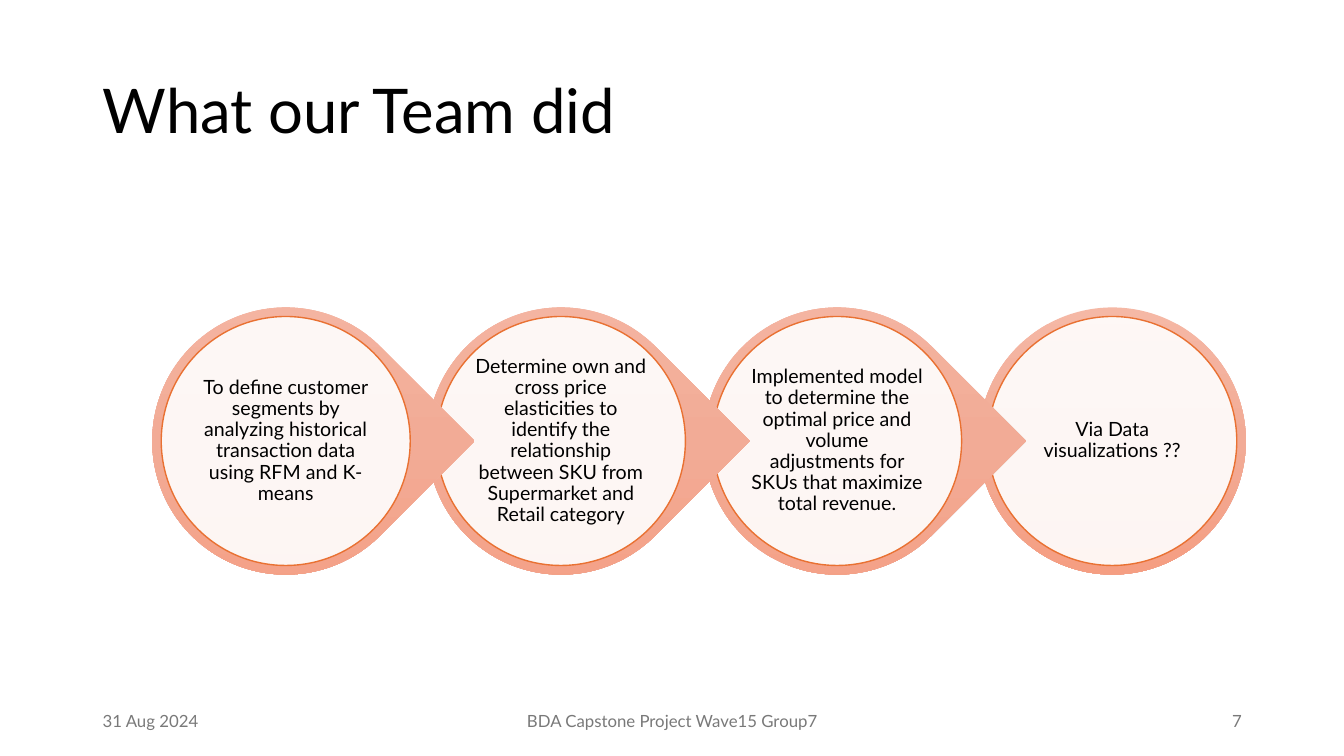
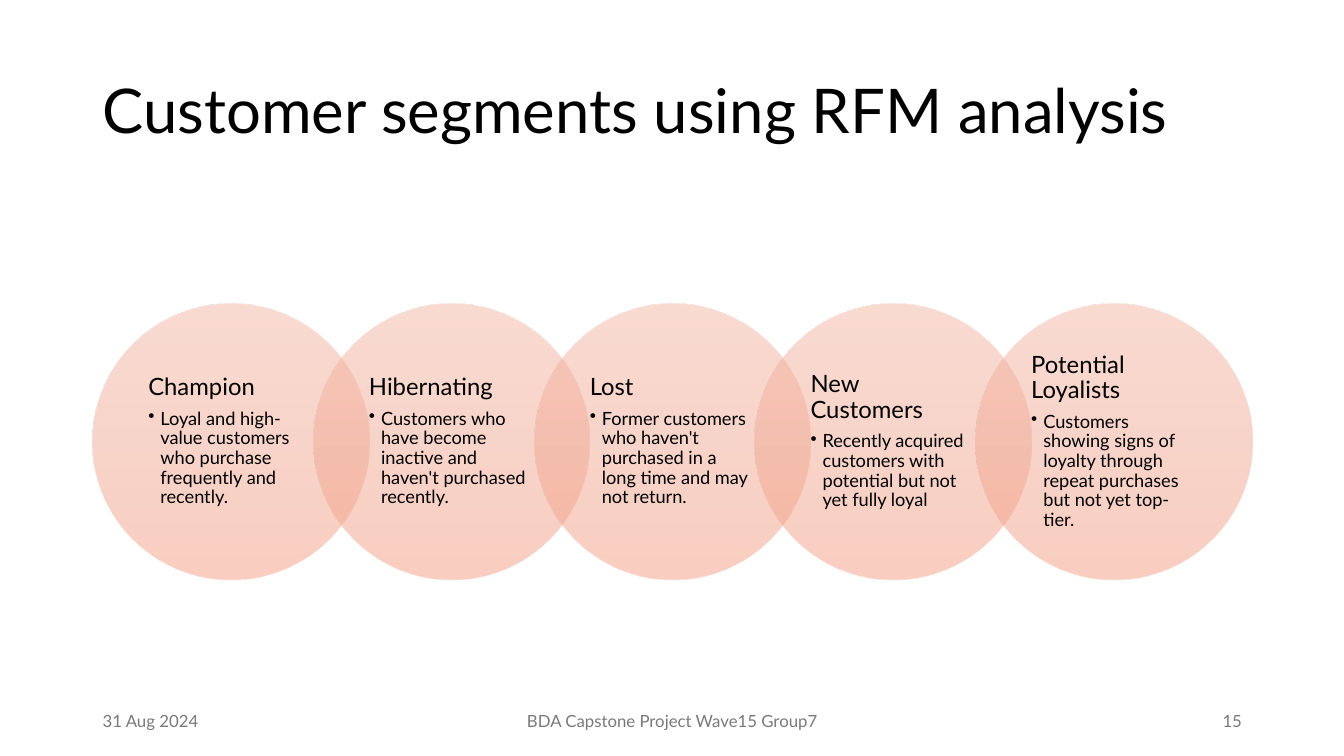
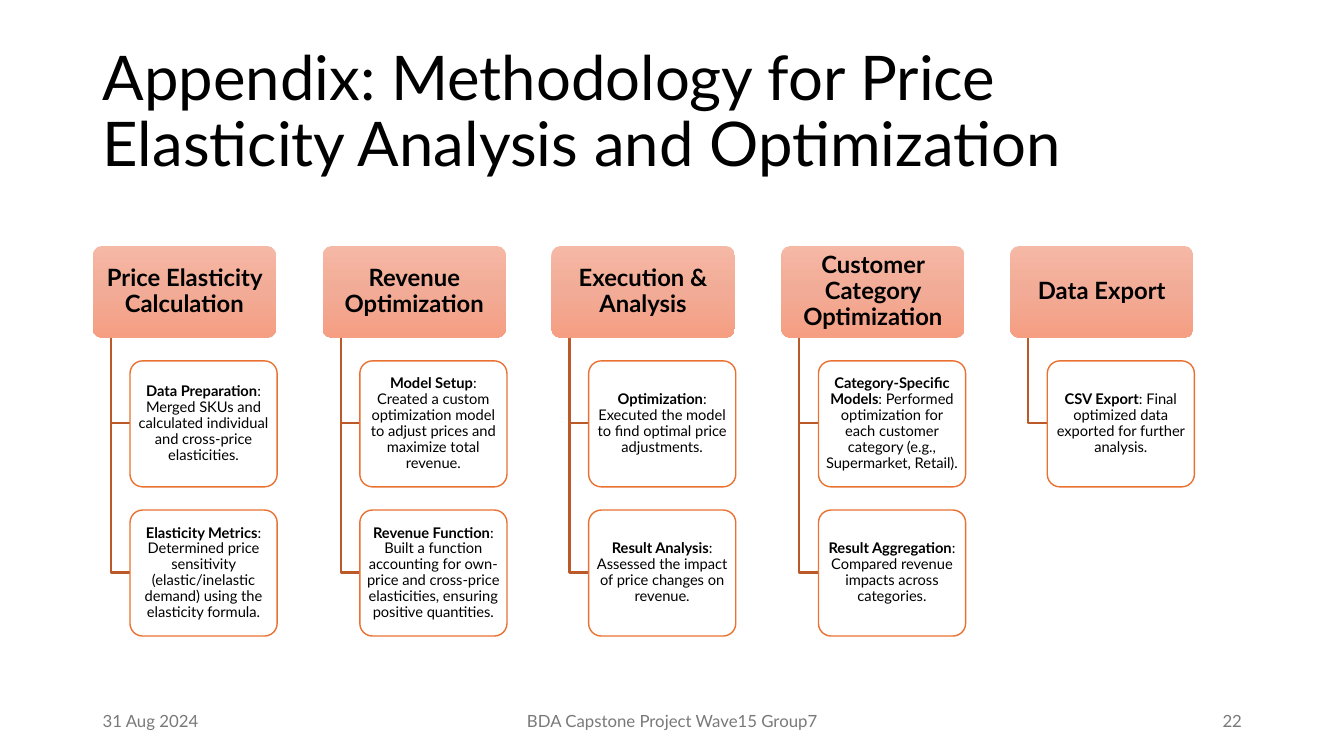
from dataclasses import dataclass

from lxml import etree
from pptx import Presentation
from pptx.dml.color import RGBColor
from pptx.enum.shapes import MSO_SHAPE
from pptx.enum.text import MSO_ANCHOR, PP_ALIGN
from pptx.oxml.ns import qn
from pptx.util import Emu, Pt

OVAL, TEARDROP, ROUNDED = MSO_SHAPE.OVAL, MSO_SHAPE.TEAR, MSO_SHAPE.ROUNDED_RECTANGLE
LEFT, CENTER, RIGHT = PP_ALIGN.LEFT, PP_ALIGN.CENTER, PP_ALIGN.RIGHT
MIDDLE = MSO_ANCHOR.MIDDLE
PX = 9144


@dataclass(frozen=True)
class Theme:
    font: str = "Lato"
    ink: str = "000000"
    muted: str = "797979"
    paper: str = "FFFFFF"
    outline: str = "E97132"
    elbow: str = "BB5A28"
    salmon: tuple = ("F5B8A5", "F2AB96", "F59E82")
    title: float = 44
    heading: float = 17
    body: float = 14
    bullet: float = 13
    footer: float = 12
    card: float = 10.5


theme = Theme()


def write(box, text, *, size, lead="", color=theme.ink, bold=False, align=LEFT,
          spacing=0.9, after=0, bullet=False, insets=(10, 5)):
    frame = box.text_frame
    frame.word_wrap = True
    frame.vertical_anchor = MIDDLE
    frame.margin_left = frame.margin_right = Emu(insets[0] * PX)
    frame.margin_top = frame.margin_bottom = Emu(insets[1] * PX)
    para = frame.add_paragraph() if frame.text else frame.paragraphs[0]
    if bullet:
        properties = para._p.get_or_add_pPr()
        properties.set("marL", str(12 * PX))
        properties.set("indent", str(-12 * PX))
        etree.SubElement(properties, qn("a:buChar")).set("char", "•")
    para.alignment = align
    para.line_spacing = spacing
    para.space_after = Pt(after)
    for words, heavy in ((lead, True), (text, bold)):
        if words:
            span = para.add_run()
            span.text = words
            span.font.name = theme.font
            span.font.size = Pt(size)
            span.font.bold = heavy
            span.font.color.rgb = RGBColor.from_string(color)


def draw(page, kind, area, *, colors, opacity=100, line=None, turn=0, adjust=None):
    shape = page.shapes.add_shape(kind, *(Emu(length * PX) for length in area))
    shape.shadow.inherit = False
    shape.rotation = turn
    if adjust is not None:
        shape.adjustments[0] = adjust
    if line:
        shape.line.color.rgb = RGBColor.from_string(line)
        shape.line.width = Pt(1)
    else:
        shape.line.fill.background()
    if len(colors) == 1:
        shape.fill.solid()
        shape.fill.fore_color.rgb = RGBColor.from_string(colors[0])
    else:
        shape.fill.gradient()
        shape.fill.gradient_angle = 270
        gradient = shape._element.spPr.find(qn("a:gradFill"))
        gradient.set("rotWithShape", "0")
        stops = gradient.find(qn("a:gsLst"))
        for stop in list(stops):
            stops.remove(stop)
        for index, color in enumerate(colors):
            stop = etree.SubElement(stops, qn("a:gs"))
            stop.set("pos", str(100000 * index // (len(colors) - 1)))
            etree.SubElement(stop, qn("a:srgbClr")).set("val", color)
    if opacity < 100:
        fill_tag = qn("a:solidFill" if len(colors) == 1 else "a:gradFill")
        for tint in shape._element.spPr.find(fill_tag).iter(qn("a:srgbClr")):
            etree.SubElement(tint, qn("a:alpha")).set("val", str(opacity * 1000))
    return shape


deck = Presentation()
deck.slide_width, deck.slide_height = Emu(12192000), Emu(6858000)

pages = []
for title, number in (
    ("What our Team did", "7"),
    ("Customer segments using RFM analysis", "15"),
    ("Appendix: Methodology for Price Elasticity Analysis and Optimization", "22"),
):
    page = deck.slides.add_slide(deck.slide_layouts[6])
    pages.append(page)
    for text, area, style in (
        (title, (92, 40, 1150, 145), dict(size=theme.title)),
        ("31 Aug 2024", (92, 695, 300, 40), dict(align=LEFT)),
        ("BDA Capstone Project Wave15 Group7", (442, 695, 450, 40), dict(align=CENTER)),
        (number, (942, 695, 300, 40), dict(align=RIGHT)),
    ):
        box = page.shapes.add_textbox(*(Emu(length * PX) for length in area))
        footer = dict(size=theme.footer, color=theme.muted, spacing=1.0)
        write(box, text, **(style if text == title else footer | style))

team_page, segment_page, method_page = pages

steps = (
    "To define customer segments by analyzing historical transaction data using RFM and K-means",
    "Determine own and cross price elasticities to identify the relationship between SKU "
    "from Supermarket and Retail category",
    "Implemented model to determine the optimal price and volume adjustments for SKUs "
    "that maximize total revenue.",
    "Via Data visualizations ??",
)
for index, step in reversed(list(enumerate(steps))):
    left = 151 + 547 * index // 2
    is_last = index == len(steps) - 1
    draw(team_page, OVAL if is_last else TEARDROP, (left, 305, 265, 265),
         colors=theme.salmon, turn=0 if is_last else 45)
    disc = draw(team_page, OVAL, (left + 9, 314, 247, 247),
                colors=(theme.paper,), opacity=90, line=theme.outline)
    write(disc, step, size=theme.body, align=CENTER, insets=(2, 2))

segments = (
    ("Champion", "Loyal and high-value customers who purchase frequently and recently."),
    ("Hibernating", "Customers who have become inactive and haven't purchased recently."),
    ("Lost", "Former customers who haven't purchased in a long time and may not return."),
    ("New Customers", "Recently acquired customers with potential but not yet fully loyal"),
    ("Potential Loyalists",
     "Customers showing signs of loyalty through repeat purchases but not yet top-tier."),
)
for index, (name, description) in enumerate(segments):
    circle = draw(segment_page, OVAL, (92 + 219 * index, 301, 274, 274),
                  colors=theme.salmon, opacity=50)
    write(circle, name, size=theme.heading, after=6, insets=(15, 2))
    write(circle, description, size=theme.bullet, bullet=True, insets=(15, 2))

methods = (
    ("Price Elasticity Calculation", (
        ("Data Preparation",
         ": Merged SKUs and calculated individual and cross-price elasticities."),
        ("Elasticity Metrics",
         ": Determined price sensitivity (elastic/inelastic demand) using the elasticity formula."),
    )),
    ("Revenue Optimization", (
        ("Model Setup",
         ": Created a custom optimization model to adjust prices and maximize total revenue."),
        ("Revenue Function",
         ": Built a function accounting for own-price and cross-price elasticities, "
         "ensuring positive quantities."),
    )),
    ("Execution & Analysis", (
        ("Optimization", ": Executed the model to find optimal price adjustments."),
        ("Result Analysis", ": Assessed the impact of price changes on revenue."),
    )),
    ("Customer Category Optimization", (
        ("Category-Specific Models",
         ": Performed optimization for each customer category (e.g., Supermarket, Retail)."),
        ("Result Aggregation", ": Compared revenue impacts across categories."),
    )),
    ("Data Export", (
        ("CSV Export", ": Final optimized data exported for further analysis."),
    )),
)
for column, (heading, cards) in enumerate(methods):
    left = 92 + (455 * column + 1) // 2
    header = draw(method_page, ROUNDED, (left, 244, 182, 91), colors=theme.salmon, adjust=0.1)
    write(header, heading, size=theme.heading, bold=True, align=CENTER, insets=(4, 2))
    for row, (lead, text) in enumerate(cards):
        top = 358 + 148 * row
        outline = method_page.shapes.build_freeform(left + 18, 335, scale=PX)
        outline.add_line_segments(((left + 18, top + 62), (left + 37, top + 62)), close=False)
        elbow = outline.convert_to_shape()
        elbow.shadow.inherit = False
        elbow.fill.background()
        elbow.line.color.rgb = RGBColor.from_string(theme.elbow)
        elbow.line.width = Pt(1.5)
        card = draw(method_page, ROUNDED, (left + 37, top, 146, 125),
                    colors=(theme.paper,), opacity=90, line=theme.outline, adjust=0.1)
        write(card, text, lead=lead, size=theme.card, align=CENTER, insets=(2, 2))

deck.save("out.pptx")
